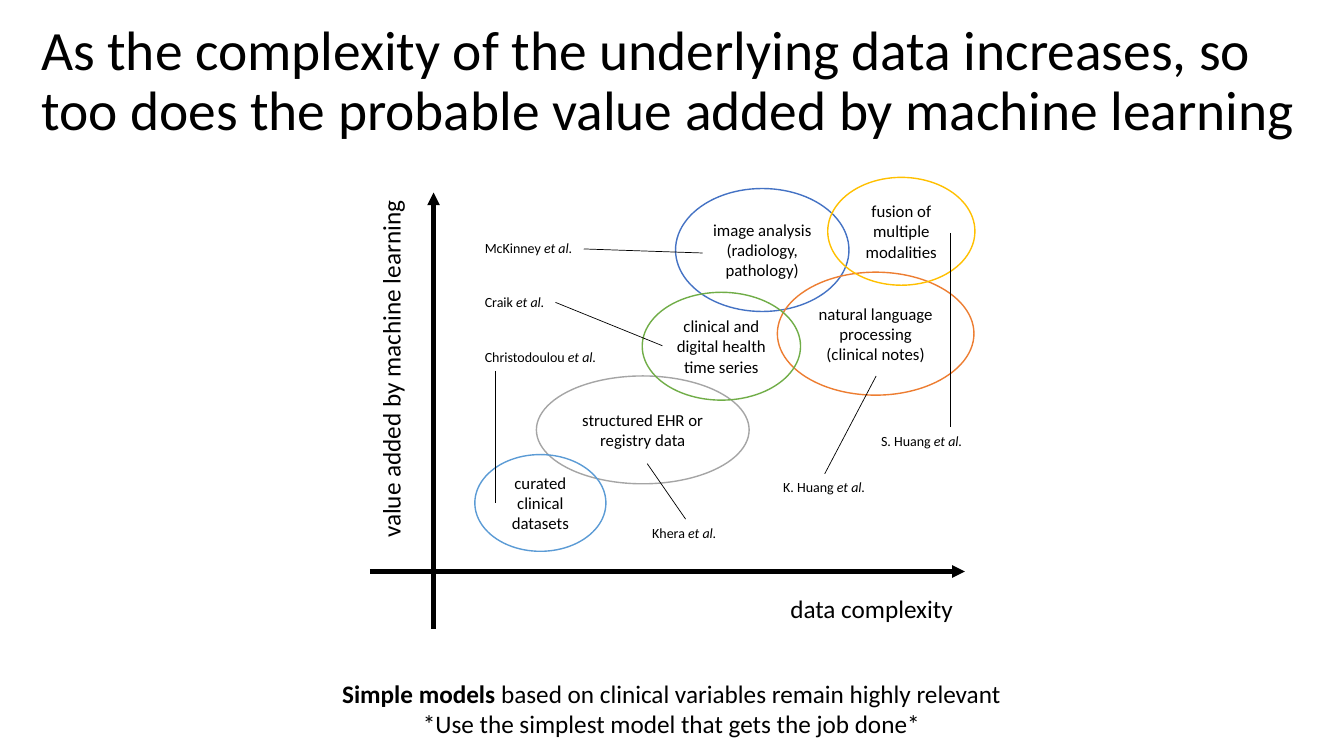
from dataclasses import dataclass

from lxml import etree
from pptx import Presentation
from pptx.dml.color import RGBColor
from pptx.enum import shapes, text
from pptx.oxml import ns
from pptx.util import Inches, Pt

FONT = "Calibri"
BLACK = RGBColor(0x00, 0x00, 0x00)
BLUE = RGBColor(0x44, 0x72, 0xC4)
ORANGE = RGBColor(0xED, 0x7D, 0x31)
GRAY = RGBColor(0xA5, 0xA5, 0xA5)
LIGHT_BLUE = RGBColor(0x5B, 0x9B, 0xD5)
YELLOW = RGBColor(0xFF, 0xC0, 0x00)
GREEN = RGBColor(0x70, 0xAD, 0x47)

LABEL_LEFT = 4.71
LABEL_HEIGHT = 0.27

Point = tuple[float, float]
Box = tuple[float, float, float, float]


@dataclass(frozen=True)
class Run:
    words: str
    bold: bool = False
    italic: bool = False


@dataclass(frozen=True)
class DataType:
    paragraphs: tuple[str, ...]
    box: Box
    color: RGBColor


@dataclass(frozen=True)
class Study:
    author: str
    left: float
    top: float
    width: float
    pointer_start: Point
    pointer_end: Point


DATA_TYPES = [
    DataType(("image analysis", "(radiology, pathology)"), (6.7, 1.87, 1.72, 1.22), BLUE),
    DataType(("natural language processing (clinical notes)",), (7.71, 2.7, 1.95, 1.22), ORANGE),
    DataType(("structured EHR or registry data",), (5.32, 3.73, 2.11, 1.07), GRAY),
    DataType(("curated clinical datasets",), (4.71, 4.51, 1.3, 0.96), LIGHT_BLUE),
    DataType(("fusion of multiple modalities",), (8.21, 1.76, 1.46, 1.07), YELLOW),
    DataType(("clinical and digital health time series",), (6.37, 2.9, 1.57, 1.07), GREEN),
]

STUDIES = [
    Study("Christodoulou", LABEL_LEFT, 3.41, 1.32, (4.91, 3.68), (4.91, 4.99)),
    Study("Khera", 6.37, 5.15, 0.85, (6.8, 5.15), (6.42, 4.6)),
    Study("McKinney", LABEL_LEFT, 2.33, 1.08, (6.97, 2.51), (5.79, 2.47)),
    Study("K. Huang", 7.67, 4.7, 1.03, (8.69, 3.73), (8.18, 4.7)),
    Study("S. Huang", 8.64, 4.24, 1.02, (9.43, 2.31), (9.43, 4.24)),
    Study("Craik", LABEL_LEFT, 2.86, 0.8, (6.57, 3.43), (5.51, 3.0)),
]


def write_text(shape, paragraphs: list[list[Run]], *, size: float,
               align=text.PP_ALIGN.LEFT, anchor=text.MSO_ANCHOR.TOP,
               wrap: bool = True, line_spacing: float = 1.0) -> None:
    frame = shape.text_frame
    frame.word_wrap = wrap
    frame.vertical_anchor = anchor
    for index, runs in enumerate(paragraphs):
        paragraph = frame.add_paragraph() if index else frame.paragraphs[0]
        paragraph.alignment = align
        paragraph.line_spacing = line_spacing
        for part in runs:
            run = paragraph.add_run()
            run.text = part.words
            run.font.name = FONT
            run.font.size = Pt(size)
            run.font.bold = part.bold
            run.font.italic = part.italic
            run.font.color.rgb = BLACK


def add_text(slide, box: Box, paragraphs: list[list[Run]], **style):
    label = slide.shapes.add_textbox(*map(Inches, box))
    write_text(label, paragraphs, **style)
    return label


def add_line(slide, start: Point, end: Point, width: float, arrow: bool = False) -> None:
    line = slide.shapes.add_connector(
        shapes.MSO_CONNECTOR.STRAIGHT, *map(Inches, start + end))
    line.line.color.rgb = BLACK
    line.line.width = Pt(width)
    if arrow:
        etree.SubElement(line.line._get_or_add_ln(), ns.qn("a:tailEnd"), type="triangle")
    etree.SubElement(line._element.spPr, ns.qn("a:effectLst"))


def add_data_type(slide, data_type: DataType) -> None:
    ellipse = slide.shapes.add_shape(
        shapes.MSO_SHAPE.OVAL, *map(Inches, data_type.box))
    ellipse.shadow.inherit = False
    ellipse.fill.background()
    ellipse.line.color.rgb = data_type.color
    ellipse.line.width = Pt(1)
    write_text(ellipse, [[Run(words)] for words in data_type.paragraphs], size=12,
               align=text.PP_ALIGN.CENTER, anchor=text.MSO_ANCHOR.MIDDLE)


def add_study(slide, study: Study) -> None:
    add_line(slide, study.pointer_start, study.pointer_end, 0.5)
    add_text(slide, (study.left, study.top, study.width, LABEL_HEIGHT),
             [[Run(study.author + " "), Run("et al.", italic=True)]], size=10, wrap=False)


def main() -> None:
    presentation = Presentation()
    presentation.slide_width = Inches(13.33)
    presentation.slide_height = Inches(7.5)
    slide = presentation.slides.add_slide(presentation.slide_layouts[6])

    add_text(slide, (0.31, 0.09, 12.71, 1.45),
             [[Run("As the complexity of the underlying data increases, so too does "
                   "the probable value added by machine learning")]],
             size=39.6, anchor=text.MSO_ANCHOR.MIDDLE, line_spacing=0.9)

    add_line(slide, (3.67, 5.67), (9.57, 5.67), 3, arrow=True)
    add_line(slide, (4.3, 6.24), (4.3, 1.91), 3, arrow=True)
    add_text(slide, (7.74, 5.84, 1.83, 0.4), [[Run("data complexity")]], size=18, wrap=False)
    value_axis_title = add_text(slide, (2.08, 3.44, 3.59, 0.4),
                                [[Run("value added by machine learning")]],
                                size=18, wrap=False)
    value_axis_title.rotation = 270

    for data_type in DATA_TYPES:
        add_data_type(slide, data_type)
    for study in STUDIES:
        add_study(slide, study)

    add_text(slide, (2.52, 6.68, 8.28, 0.71),
             [[Run("Simple models", bold=True),
               Run(" based on clinical variables remain highly relevant")],
              [Run("*Use the simplest model that gets the job done*")]],
             size=18, align=text.PP_ALIGN.CENTER)

    presentation.save("out.pptx")


if __name__ == "__main__":
    main()
